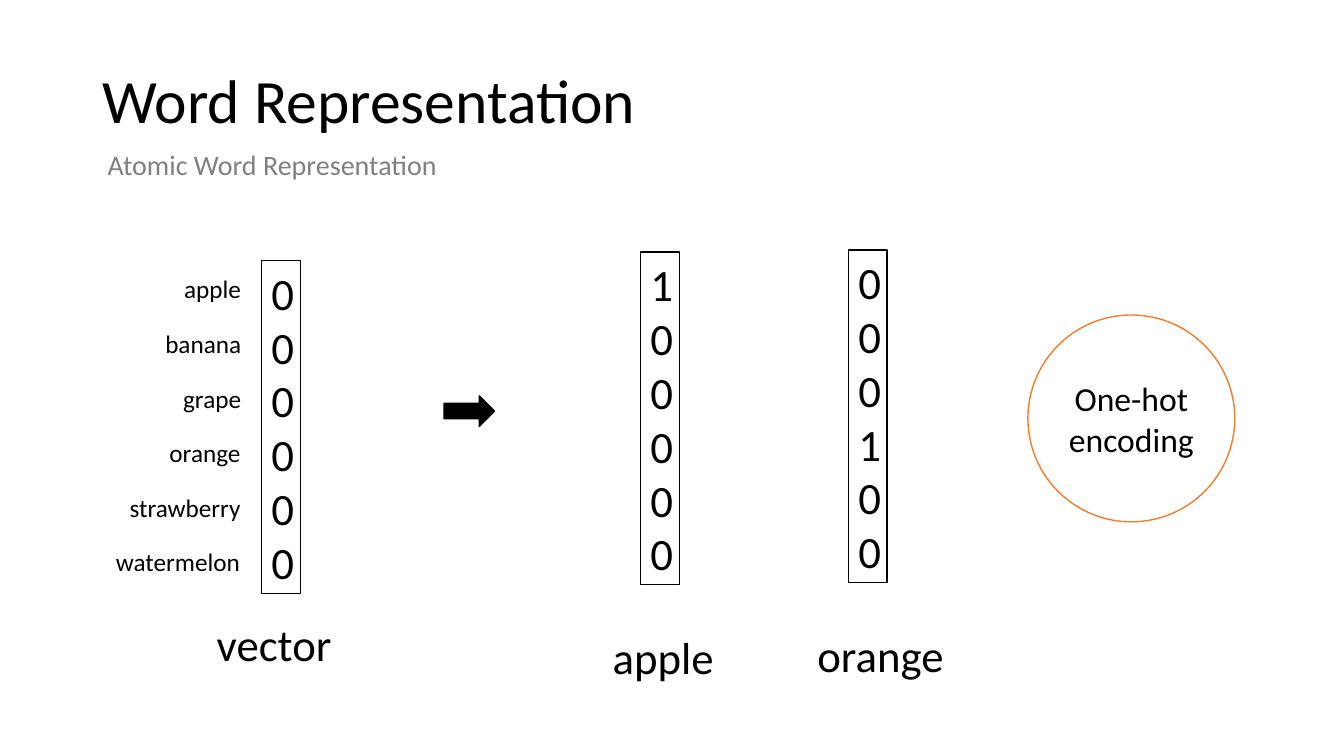
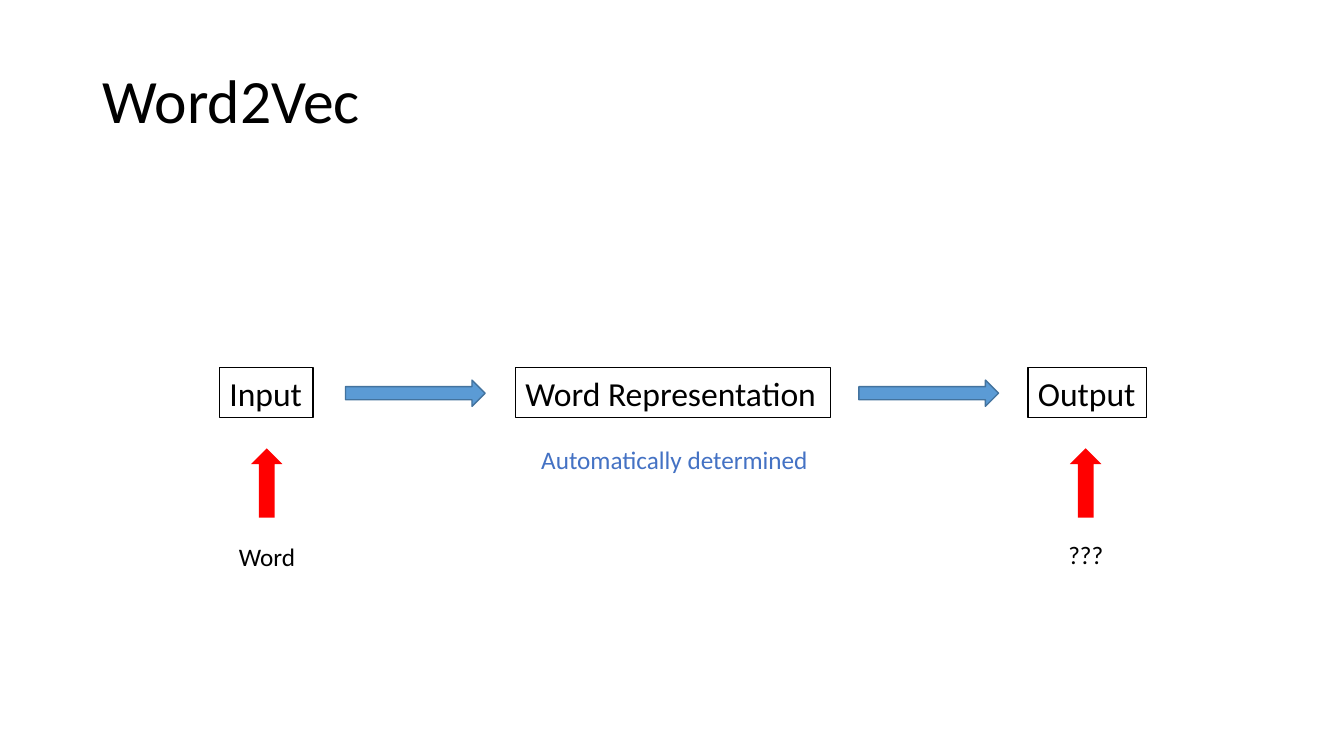
from pptx import Presentation
from pptx.dml.color import RGBColor
from pptx.enum.shapes import MSO_SHAPE
from pptx.enum.text import MSO_ANCHOR, MSO_AUTO_SIZE, PP_ALIGN
from pptx.util import Pt

PX = 9525
FONT = "Calibri"
BLACK = RGBColor(0x00, 0x00, 0x00)
WHITE = RGBColor(0xFF, 0xFF, 0xFF)
GREY = RGBColor(0x80, 0x80, 0x80)
ORANGE = RGBColor(0xED, 0x7D, 0x31)
SKY = RGBColor(0x5B, 0x9B, 0xD5)
STEEL = RGBColor(0x43, 0x73, 0x9E)
BLUE = RGBColor(0x44, 0x72, 0xC4)
RED = RGBColor(0xFF, 0x00, 0x00)
RECTANGLE = MSO_SHAPE.RECTANGLE
OVAL = MSO_SHAPE.OVAL
RIGHT_ARROW = MSO_SHAPE.RIGHT_ARROW
UP_ARROW = MSO_SHAPE.UP_ARROW
MIDDLE = MSO_ANCHOR.MIDDLE
FIT_SHAPE = MSO_AUTO_SIZE.SHAPE_TO_FIT_TEXT
NO_FIT = MSO_AUTO_SIZE.NONE
LEFT, CENTER = PP_ALIGN.LEFT, PP_ALIGN.CENTER


def add_label(slide, text, left, top, width, height, size, color=BLACK):
    label = slide.shapes.add_textbox(left * PX, top * PX, width * PX, height * PX)
    frame = label.text_frame
    frame.word_wrap = False
    frame.auto_size = FIT_SHAPE
    frame.text = text
    font = frame.paragraphs[0].font
    font.name, font.size, font.color.rgb = FONT, Pt(size), color
    return label


def add_figure(slide, kind, left, top, width, height, fill, line=None, text="", size=18):
    figure = slide.shapes.add_shape(kind, left * PX, top * PX, width * PX, height * PX)
    figure.shadow.inherit = False
    figure.fill.solid()
    figure.fill.fore_color.rgb = fill
    if line is None:
        figure.line.fill.background()
    else:
        figure.line.color.rgb = line
        figure.line.width = Pt(1)
    if text:
        frame = figure.text_frame
        frame.text = text
        frame.vertical_anchor = MIDDLE
        paragraph = frame.paragraphs[0]
        paragraph.alignment = CENTER
        font = paragraph.font
        font.name, font.size, font.color.rgb = FONT, Pt(size), BLACK


prs = Presentation()
prs.slide_width = 1280 * PX
prs.slide_height = 720 * PX

slides = []
for heading in ("Word Representation", "Word2Vec"):
    slide = prs.slides.add_slide(prs.slide_layouts[5])
    title = slide.shapes.title
    title.left, title.top, title.width, title.height = 88 * PX, 29 * PX, 1104 * PX, 139 * PX
    frame = title.text_frame
    frame.text = heading
    frame.auto_size = NO_FIT
    frame.vertical_anchor = MIDDLE
    paragraph = frame.paragraphs[0]
    paragraph.alignment = LEFT
    paragraph.line_spacing = 0.9
    paragraph.font.name, paragraph.font.size = FONT, Pt(44)
    paragraph.font.color.rgb = BLACK
    slides.append(slide)

encoding, word2vec = slides

add_label(encoding, "Atomic Word Representation", 93, 136, 336, 42, 20, GREY)

vectors = [
    ("vector", "000000", 249, 248, 197, 583, 130),
    ("apple", "100000", 610, 240, 574, 595, 117),
    ("orange", "000100", 808, 238, 769, 593, 141),
]
for name, digits, left, top, name_left, name_top, name_width in vectors:
    add_figure(encoding, RECTANGLE, left, top, 37, 317, WHITE, BLACK, digits, 32)
    add_label(encoding, name, name_left, name_top, name_width, 61, 32)

vocabulary = [
    ("apple", 74),
    ("banana", 92),
    ("grape", 75),
    ("orange", 88),
    ("strawberry", 126),
    ("watermelon", 139),
]
for row, (word, width) in enumerate(vocabulary):
    add_label(encoding, word, 240 - width, 256 + 52 * row, width, 38, 18)

add_figure(encoding, RIGHT_ARROW, 423, 377, 48, 29, BLACK, BLACK)
add_figure(encoding, OVAL, 979, 300, 197, 197, WHITE, ORANGE, "One-hot encoding", 24)

stages = [("Input", 209, 89), ("Word Representation", 491, 300), ("Output", 979, 113)]
for stage, left, width in stages:
    stage_box = add_label(word2vec, stage, left, 350, width, 48, 24)
    stage_box.fill.solid()
    stage_box.fill.fore_color.rgb = WHITE
    stage_box.line.color.rgb = BLACK
    stage_box.line.width = Pt(1)

for left in (329, 818):
    add_figure(word2vec, RIGHT_ARROW, left, 362, 133, 25, SKY, STEEL)

sources = [("Word", 239, 218, 511, 74), ("???", 1019, 1008, 509, 53)]
for source, arrow_left, left, top, width in sources:
    add_figure(word2vec, UP_ARROW, arrow_left, 427, 30, 66, RED)
    add_label(word2vec, source, left, top, width, 38, 18)

add_label(word2vec, "Automatically determined", 506, 418, 276, 38, 18, BLUE)

prs.save("out.pptx")
